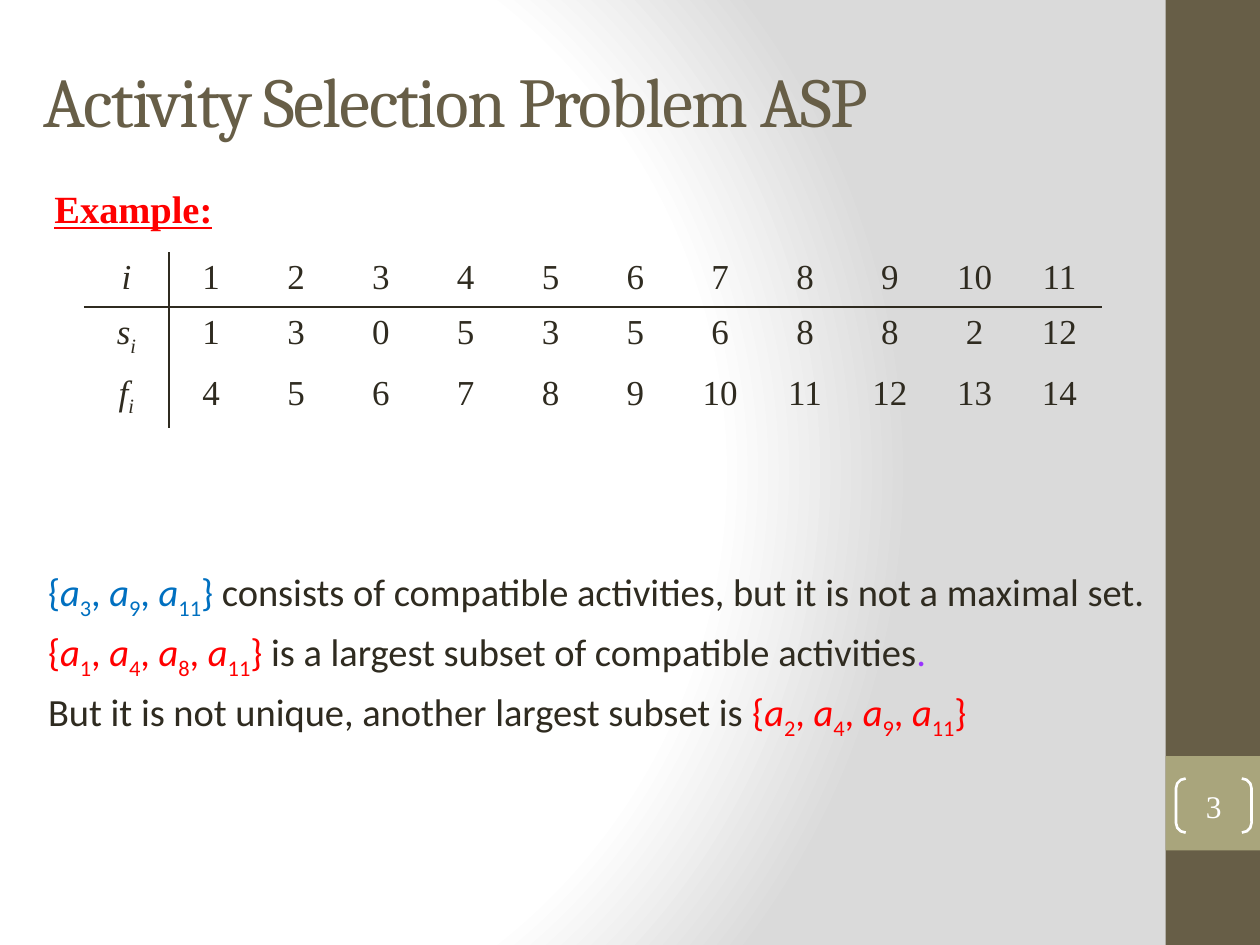
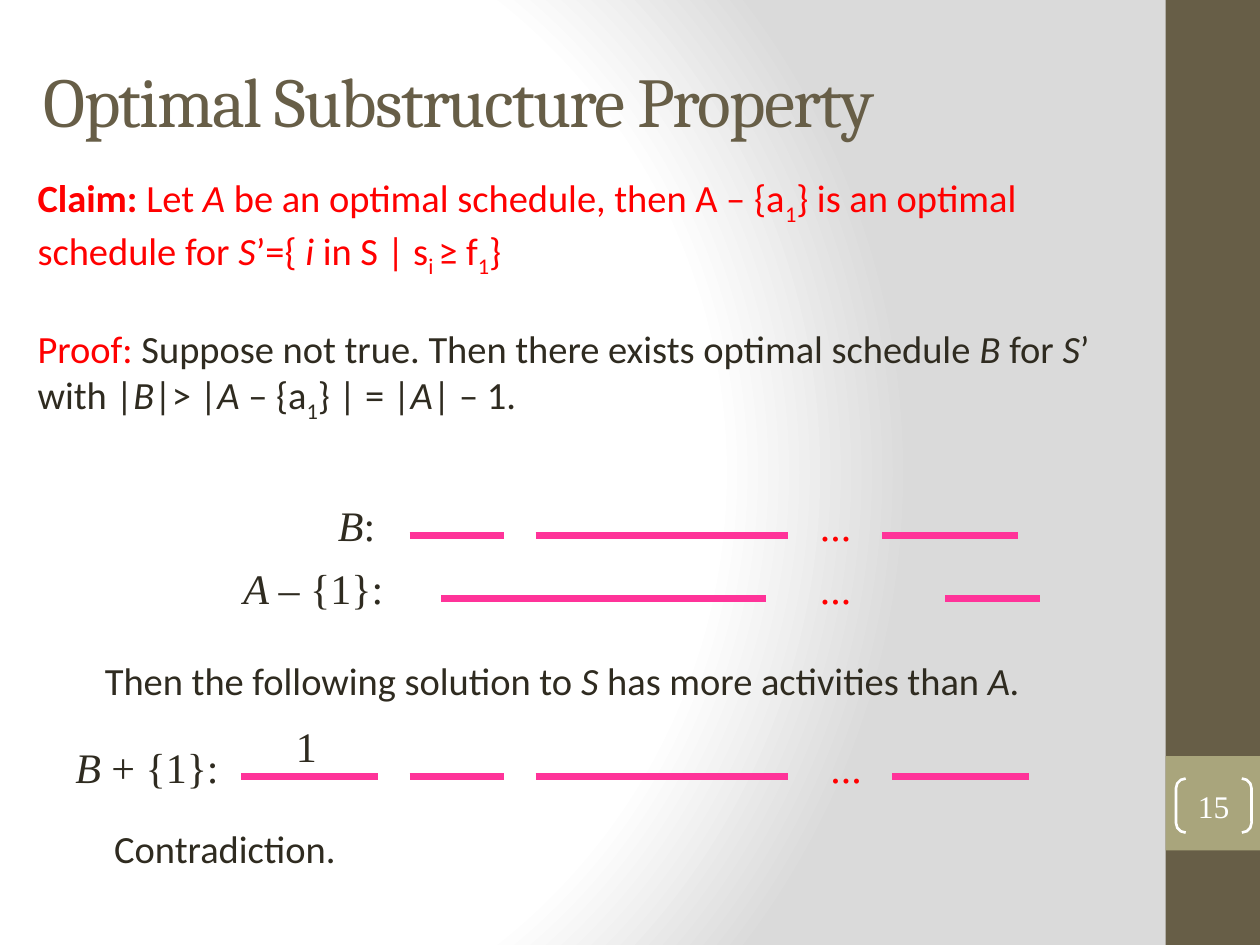
from dataclasses import dataclass

from lxml import etree
from pptx import Presentation
from pptx import util as u
from pptx.dml.color import RGBColor
from pptx.enum import shapes, text
from pptx.oxml import parse_xml
from pptx.oxml.ns import nsdecls, qn


@dataclass(frozen=True)
class Theme:
    ink: str = "2F2B20"
    brown: str = "675E47"
    olive: str = "A9A57C"
    white: str = "FFFFFF"
    grey: str = "DADADA"
    red: str = "FF0000"
    blue: str = "0070C0"
    violet: str = "9933FF"
    pink: str = "FF3399"
    heading: str = "Cambria"
    body: str = "Calibri"
    serif: str = "Times New Roman"
    title_size: int = 40
    label_size: int = 24
    body_size: int = 22
    table_size: int = 20
    number_size: int = 18


theme = Theme()
rgb = RGBColor.from_string
deck = Presentation()
deck.slide_width, deck.slide_height = u.Inches(10), u.Inches(7.5)
CELL = deck.slide_width / 120  # the slide is a grid of 120 columns by 90 rows


def write(paragraph, font, size, *pieces):
    """Add (colour, markup) pieces: *italic*, _subscript_, ^bold^."""
    base_color = pieces[0][0]
    paragraph.font.name, paragraph.font.size = font, u.Pt(size)
    paragraph.font.color.rgb = rgb(base_color)
    for color, markup in pieces:
        for mark in "*_^":
            markup = markup.replace(mark, f"\n{mark}\n")
        active = set()
        for token in filter(None, markup.split("\n")):
            if token in ("*", "_", "^"):
                active ^= {token}
                continue
            run = paragraph.add_run()
            run.text = token
            if color != base_color:
                run.font.color.rgb = rgb(color)
            if "*" in active:
                run.font.italic = True
            if "^" in active:
                run.font.bold = True
            if "_" in active:
                run.font._element.set("baseline", "-25000")
    return paragraph


def add_text(slide, column, row, columns, rows, wrap=False):
    """Add a text box placed on the grid and return its text frame."""
    box = slide.shapes.add_textbox(*(round(n * CELL) for n in (column, row, columns, rows)))
    box.text_frame.word_wrap = wrap
    return box.text_frame


# Background shared through the master
deck.slide_master.background.fill.solid()
backdrop = deck.slide_master.element.find(".//" + qn("p:bgPr"))
stops = "".join(
    f'<a:gs pos="{share}000"><a:srgbClr val="{color}"/></a:gs>'
    for share, color in ((0, theme.white), (75, theme.white), (100, theme.grey))
)
backdrop.replace(backdrop[0], parse_xml(
    f'<a:gradFill {nsdecls("a")} rotWithShape="1"><a:gsLst>{stops}</a:gsLst>'
    '<a:path path="circle"><a:fillToRect l="20000" t="50000" r="100000" b="50000"/></a:path>'
    "</a:gradFill>"
))

# Side band, title and page number of every slide
slides = []
for heading, number in (("Activity Selection Problem ASP", "3"),
                        ("Optimal Substructure Property", "15")):
    slide = deck.slides.add_slide(deck.slide_layouts[6])
    slides.append(slide)
    for top, height, color in ((0, 90, theme.brown), (72, 9, theme.olive)):
        band = slide.shapes.add_shape(shapes.MSO_SHAPE.RECTANGLE,
                                      *(round(n * CELL) for n in (111, top, 9, height)))
        band.shadow.inherit = False
        band.fill.solid()
        band.fill.fore_color.rgb = rgb(color)
        band.line.fill.background()

    title = add_text(slide, 3, 2, 100, 15, wrap=True)
    title.vertical_anchor = text.MSO_ANCHOR.MIDDLE
    write(title.paragraphs[0], theme.heading, theme.title_size, (theme.brown, heading))
    title.paragraphs[0].runs[0].font._element.set("spc", "-100")

    bracket = slide.shapes.add_shape(shapes.MSO_SHAPE.DOUBLE_BRACKET,
                                     *(round(n * CELL) for n in (112, 74.15, 7.2, 5.15)))
    bracket.adjustments[0] = 0.18
    bracket.shadow.inherit = False
    bracket.fill.background()
    bracket.line.color.rgb = rgb(theme.white)
    bracket.line.width = u.Pt(1.5)
    page = bracket.text_frame
    page.margin_left = page.margin_right = page.margin_top = page.margin_bottom = 0
    page.vertical_anchor = text.MSO_ANCHOR.MIDDLE
    page.paragraphs[0].alignment = text.PP_ALIGN.CENTER
    write(page.paragraphs[0], theme.serif, theme.number_size, (theme.white, number))

example, proof = slides

# Example: activities with start and finish times
caption = add_text(example, 4, 17, 17.6, 5.6).paragraphs[0]
write(caption, theme.serif, theme.body_size, (theme.red, "Example:"))
caption.font.bold = caption.font.underline = True

activities = (
    ("*i*", *range(1, 12)),
    ("*s*_*i*_", 1, 3, 0, 5, 3, 5, 6, 8, 8, 2, 12),
    ("*f*_*i*_", *range(4, 15)),
)
times = example.shapes.add_table(3, 12, *(round(n * CELL) for n in (8, 24, 97, 16))).table
times.first_row = times.horz_banding = False
NO_STYLE = "{2D5ABB26-0587-4C30-8999-92F81FD0307C}"
times._tbl.tblPr.find(qn("a:tableStyleId")).text = NO_STYLE
for column in times.columns:
    column.width = round(97 / 12 * CELL)
for r, (height, values) in enumerate(zip((5.25, 5.25, 5.5), activities)):
    times.rows[r].height = round(height * CELL)
    for c, value in enumerate(values):
        cell = times.cell(r, c)
        cell.fill.background()
        entry = cell.text_frame.paragraphs[0]
        entry.alignment = text.PP_ALIGN.CENTER
        write(entry, theme.serif, theme.table_size, (theme.ink, str(value)))
        edges = ["a:lnR"] * (c == 0) + ["a:lnB"] * (r == 0)
        for order, edge in enumerate(edges):
            cell._tc.get_or_add_tcPr().insert(order, parse_xml(
                f'<{edge} {nsdecls("a")} w="12700"><a:solidFill>'
                f'<a:srgbClr val="{theme.ink}"/></a:solidFill></{edge}>'
            ))

compatible, largest, another = (
    "{" + ", ".join(f"*a*_{n}_" for n in members) + "}"
    for members in ((3, 9, 11), (1, 4, 8, 11), (2, 4, 9, 11))
)
remarks = (
    ((theme.blue, compatible),
     (theme.ink, " consists of compatible activities, but it is not a maximal set.")),
    ((theme.red, largest),
     (theme.ink, " is a largest subset of compatible activities"), (theme.violet, ".")),
    ((theme.ink, "But it is not unique, another largest subset is "), (theme.red, another)),
)
claim_and_proof = (
    ((theme.red, "^Claim: ^Let *A* be an optimal schedule, then A – {a_1_} is an optimal "
                 "schedule for *S*’={ *i* in S | s_i _≥ f_1_}"),),
    ((theme.red, "Proof:"),
     (theme.ink, " Suppose not true. Then there exists optimal schedule *B* for *S*’ "
                 "with |*B*|> |*A* – {a_1_} | = |*A*| – 1.")),
)
for slide, column, row, rows, gap, paragraphs in (
    (example, 3.4, 53.5, 29.5, 4.4, remarks),
    (proof, 2.4, 16, 26, 26, claim_and_proof),
):
    frame = add_text(slide, column, row, 109.6, rows, wrap=True)
    for n, pieces in enumerate(paragraphs):
        paragraph = frame.add_paragraph() if n else frame.paragraphs[0]
        paragraph.space_before = u.Pt(gap if n else 0)
        write(paragraph, theme.body, theme.body_size, *pieces)

# Schedules drawn as bars: row, label, its column and width, dots column, bar spans
schedules = (
    (47, "*B*:", 31, 7, 77, ((39, 48), (51, 75), (84, 97))),
    (53, "*A –* {1}:", 22, 16.8, 77, ((42, 73), (90, 99))),
    (70, "*B* + {1}:", 6, 16.1, 78, ((23, 36), (39, 48), (51, 75), (85, 98))),
)
for row, label, column, width, dots, spans in schedules:
    for left, columns, color, markup in ((column, width, theme.ink, label),
                                         (dots, 5.4, theme.red, "*...*")):
        write(add_text(proof, left, row, columns, 6).paragraphs[0],
              theme.serif, theme.label_size, (color, markup))
    for start, end in spans:
        bar = proof.shapes.add_connector(
            shapes.MSO_CONNECTOR.STRAIGHT,
            *(round(n * CELL) for n in (start, row + 4, end, row + 4)))
        bar.line.color.rgb = rgb(theme.pink)
        bar.line.width = u.Pt(4)
        etree.SubElement(bar._element.spPr, qn("a:effectLst"))

for column, row, columns, rows, font, size, markup in (
    (27, 68, 4.4, 6, theme.serif, theme.label_size, "1"),
    (8.8, 62, 90.6, 5.6, theme.body, theme.body_size,
     "Then the following solution to *S *has more activities than* A.*"),
    (9.7, 78, 24.6, 5.6, theme.body, theme.body_size, "Contradiction."),
):
    write(add_text(proof, column, row, columns, rows).paragraphs[0],
          font, size, (theme.ink, markup))

deck.save("out.pptx")
